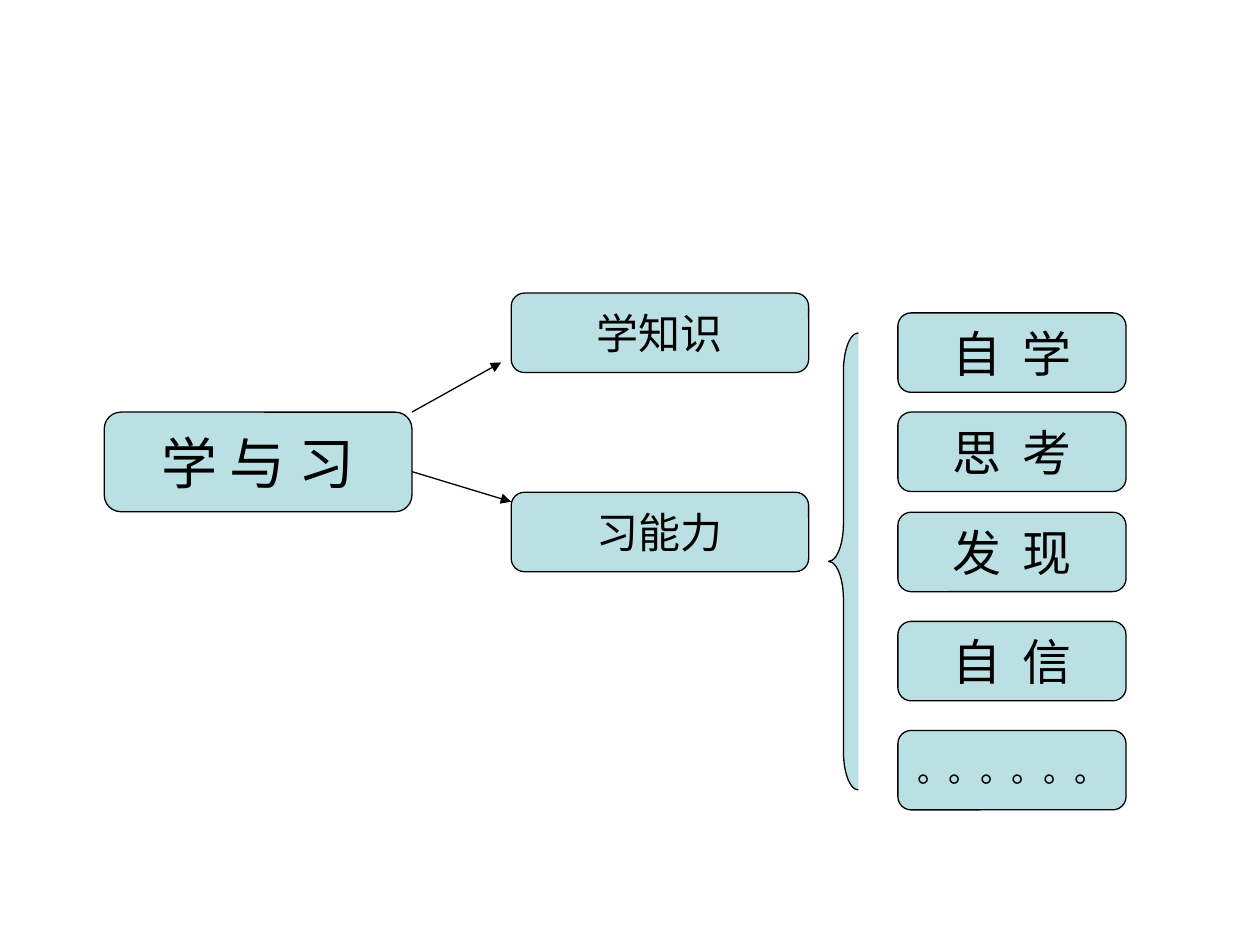
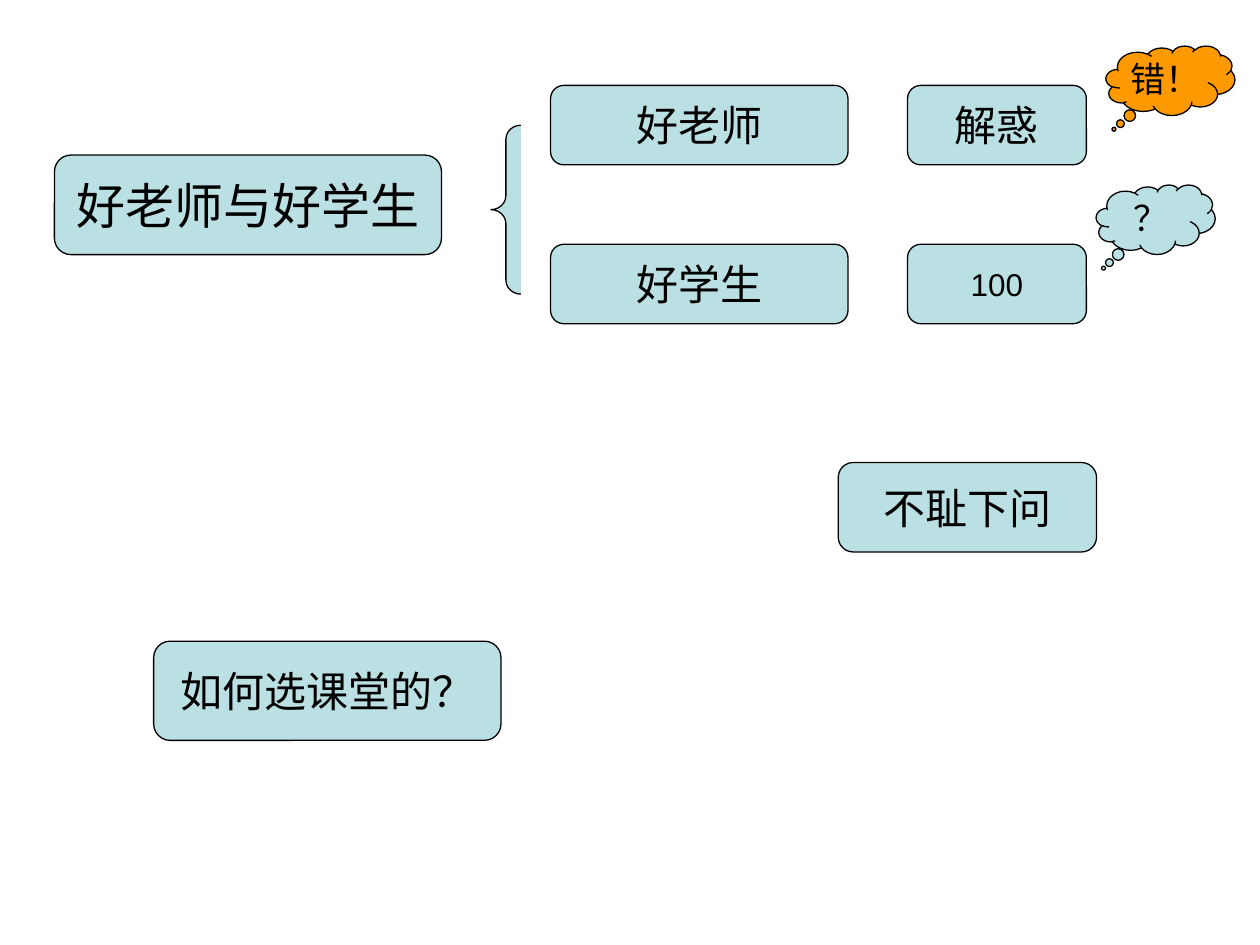
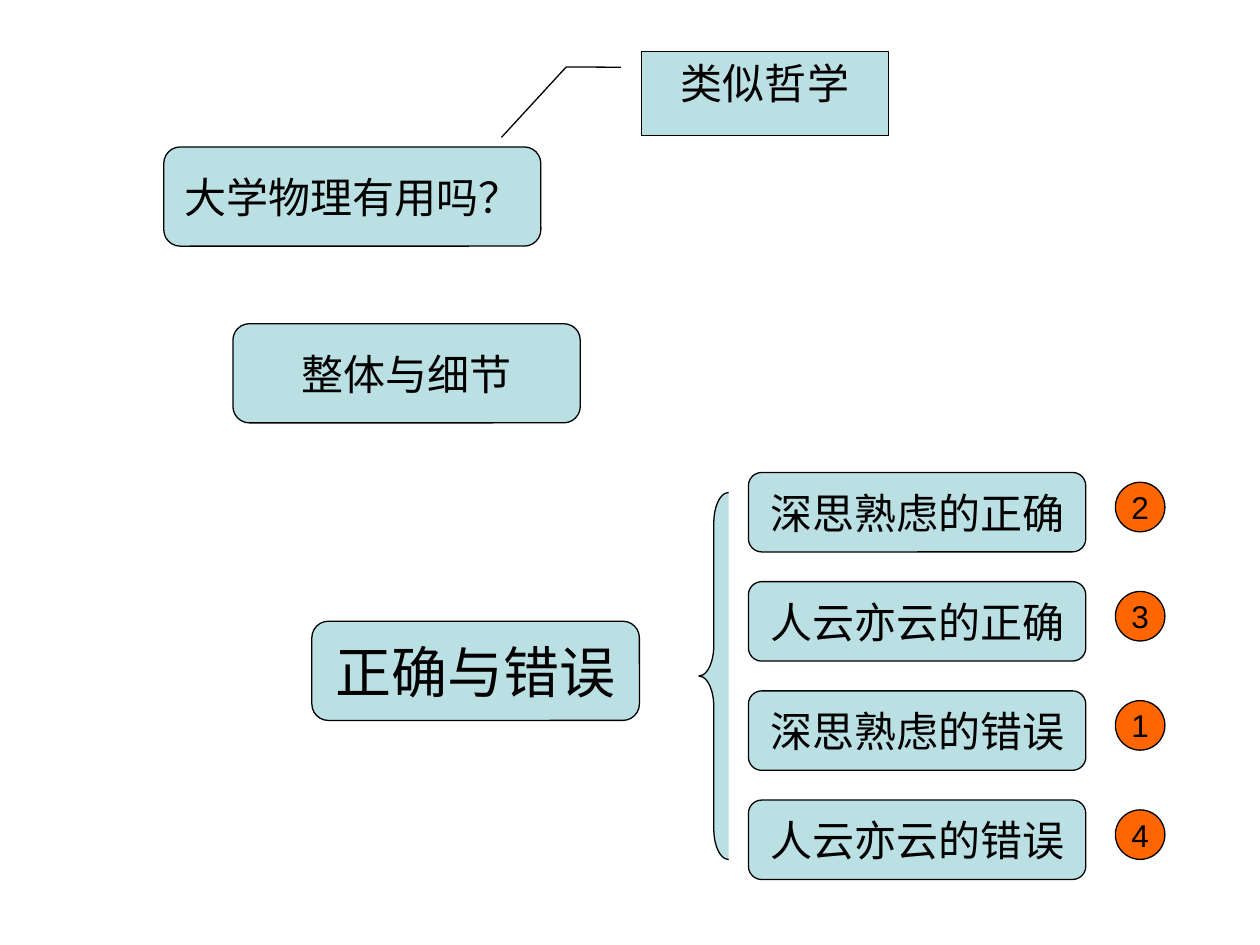
from lxml.etree import SubElement
from pptx import Presentation
from pptx.dml.color import RGBColor
from pptx.enum.shapes import MSO_CONNECTOR, MSO_SHAPE
from pptx.enum.text import MSO_ANCHOR, PP_ALIGN
from pptx.oxml.ns import qn
from pptx.util import Pt

COLORS = {
    "panel": "BBE0E3",
    "ink": "000000",
    "wrong": "FF9900",
    "badge": "FF6600",
}
LATIN_FONT = "Arial"
CHINESE_FONT = "Noto Sans CJK SC"
LINE_WIDTH = 0.75


def color(name):
    return RGBColor.from_string(COLORS[name])


class MindMap:
    """Holds the shared style and the current slide."""

    def __init__(self, deck):
        self.deck = deck
        self.page = None

    def new_page(self):
        self.page = self.deck.slides.add_slide(self.deck.slide_layouts[6])

    def outline(self, item):
        item.line.color.rgb = color("ink")
        item.line.width = Pt(LINE_WIDTH)

    def shape(self, kind, left, top, width, height, fill="panel", adjust=()):
        item = self.page.shapes.add_shape(
            kind, Pt(left), Pt(top), Pt(width), Pt(height))
        item.shadow.inherit = False
        item.fill.solid()
        item.fill.fore_color.rgb = color(fill)
        self.outline(item)
        for index, value in enumerate(adjust):
            item.adjustments[index] = value
        return item

    def label(self, item, text, size, font=LATIN_FONT, spacing=0):
        frame = item.text_frame
        frame.word_wrap = False
        frame.vertical_anchor = MSO_ANCHOR.MIDDLE
        frame.text = text
        para = frame.paragraphs[0]
        para.alignment = PP_ALIGN.CENTER
        span = para.runs[0]
        span.font.size = Pt(size)
        span.font.name = font
        span.font.color.rgb = color("ink")
        properties = span._r.get_or_add_rPr()
        SubElement(properties, qn("a:ea"), typeface=CHINESE_FONT)
        if spacing:
            properties.set("spc", str(spacing * 100))

    def box(self, text, left, top, width, height, size=24, **style):
        item = self.shape(MSO_SHAPE.ROUNDED_RECTANGLE, left, top, width, height)
        self.label(item, text, size, **style)

    def brace(self, left, top, height, width=17):
        # The curl of every brace is a twelfth of its height
        self.shape(MSO_SHAPE.LEFT_BRACE, left, top, width, height,
                   adjust=(height / 12 / width, 0.5))

    def cloud(self, text, left, top, width, fill):
        item = self.shape(MSO_SHAPE.CLOUD_CALLOUT, left, top, width, 39.7,
                          fill, (-0.438, 0.7))
        self.label(item, text, 20)

    def badge(self, text, left, top, diameter=28.3):
        item = self.shape(MSO_SHAPE.OVAL, left, top, diameter, diameter, "badge")
        self.label(item, text, 18)

    def line_callout(self, text, left, top, width, height, adjust):
        item = self.shape(MSO_SHAPE.LINE_CALLOUT_2, left, top, width, height,
                          adjust=adjust)
        self.label(item, text, 24)
        item.text_frame.word_wrap = True
        item.text_frame.vertical_anchor = MSO_ANCHOR.TOP

    def arrow(self, start_x, start_y, end_x, end_y):
        link = self.page.shapes.add_connector(
            MSO_CONNECTOR.STRAIGHT, Pt(start_x), Pt(start_y), Pt(end_x), Pt(end_y))
        self.outline(link)
        properties = link._element.spPr
        SubElement(properties.find(qn("a:ln")), qn("a:tailEnd"), type="triangle")
        SubElement(properties, qn("a:effectLst"))


def learning_page(mind_map):
    mind_map.new_page()
    # Topic and its two branches
    mind_map.box("学 与 习", 59.6, 235.5, 175.8, 56.9, 32)
    for text, top in (("学知识", 167.5), ("习能力", 281.3)):
        mind_map.box(text, 292.1, top, 170, 45.4)
    mind_map.arrow(235.4, 235.5, 286.4, 207.1)
    mind_map.arrow(235.4, 269.5, 292.1, 286.7)
    # Abilities
    mind_map.brace(473.5, 190.2, 261.2)
    abilities = (("自 学", 178.8), ("思 考", 235.5), ("发 现", 292.7),
                 ("自 信", 355.1))
    for text, top in abilities:
        mind_map.box(text, 513.1, top, 130.4, 45.4, 28,
                     font=CHINESE_FONT, spacing=3)
    mind_map.box("。。。。。。", 513.1, 417.4, 130.4, 45.4, 18, font=CHINESE_FONT)


def teacher_page(mind_map):
    mind_map.new_page()
    # Topic, roles and what each one is judged by
    mind_map.box("好老师与好学生", 31.1, 88.6, 221.2, 56.9, 28)
    mind_map.brace(280.6, 71.6, 96.5)
    roles = (("好老师", "解惑", 24, 48.8), ("好学生", "100", 18, 139.6))
    for role, measure, size, top in roles:
        mind_map.box(role, 314.6, top, 170, 45.4)
        mind_map.box(measure, 518.6, top, 102.2, 45.4, size)
    # Verdicts
    mind_map.cloud("错！", 632, 26.2, 73.7, "wrong")
    mind_map.cloud("？", 626.4, 105.6, 68, "panel")
    # Further questions
    mind_map.box("如何选课堂的？", 87.8, 366.4, 198.5, 56.7)
    mind_map.box("不耻下问", 479, 264.3, 147.6, 51.1)


def right_and_wrong_page(mind_map):
    mind_map.new_page()
    # Questions
    mind_map.line_callout("类似哲学", 366.5, 29.4, 141.3, 48.2,
                          (0.188, -0.083, 0.185, -0.304, 1.02, -0.566))
    mind_map.box("大学物理有用吗？", 93.6, 84, 215.5, 56.7)
    mind_map.box("整体与细节", 133.1, 185, 198.5, 56.7)
    # Topic and ranked outcomes
    mind_map.box("正确与错误", 178.2, 355, 187.2, 56.7, 32)
    mind_map.brace(399.4, 281.4, 209.8)
    outcomes = (("深思熟虑的正确", "2"), ("人云亦云的正确", "3"),
                ("深思熟虑的错误", "1"), ("人云亦云的错误", "4"))
    for row, (text, rank) in enumerate(outcomes):
        top = 270 + row * 62.4
        mind_map.box(text, 427.7, top, 192.8, 45.4)
        mind_map.badge(rank, 637.4, top + 5.6)


def main():
    deck = Presentation()
    deck.slide_width = Pt(720)
    deck.slide_height = Pt(540)
    mind_map = MindMap(deck)
    learning_page(mind_map)
    teacher_page(mind_map)
    right_and_wrong_page(mind_map)
    deck.save("out.pptx")


if __name__ == "__main__":
    main()
